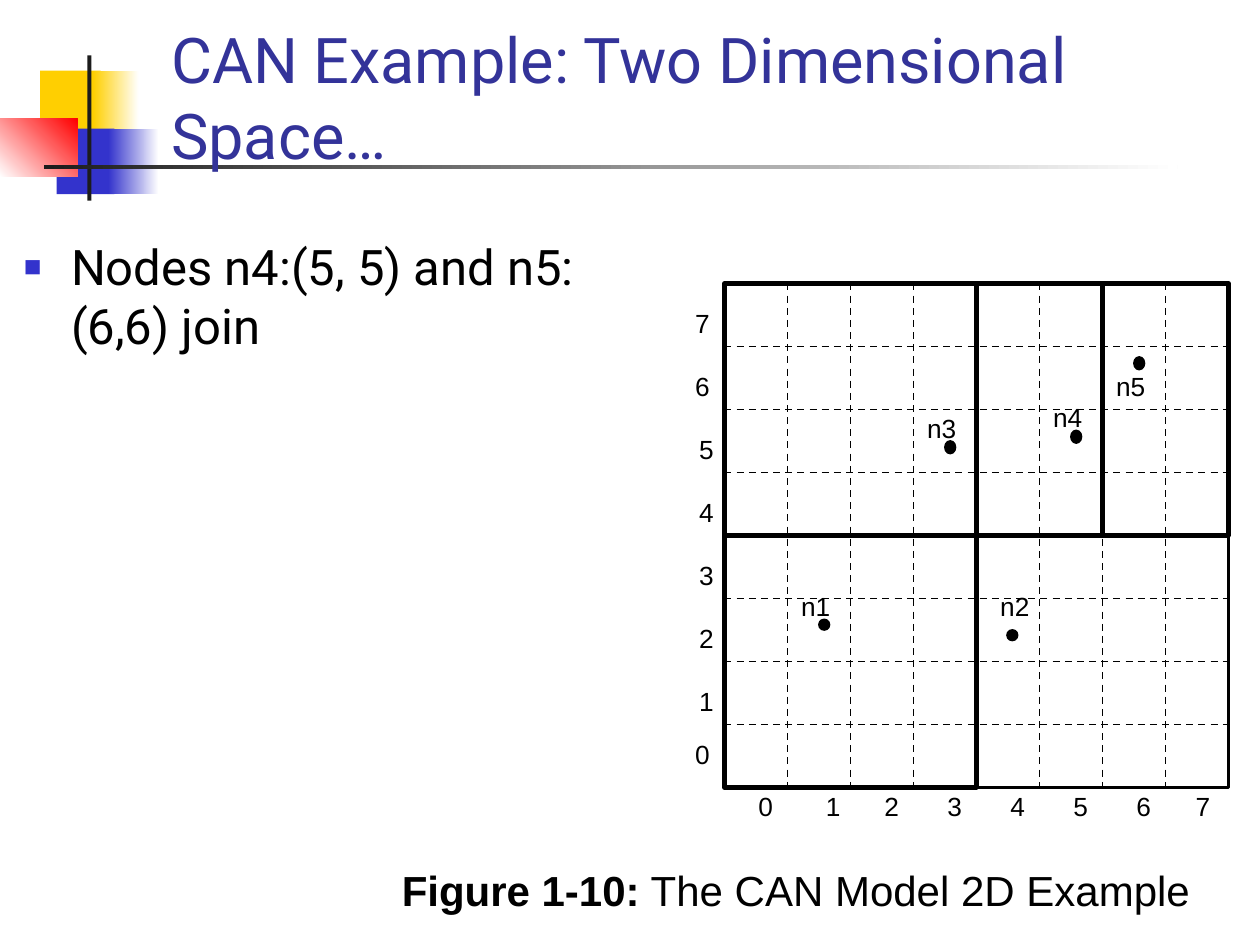
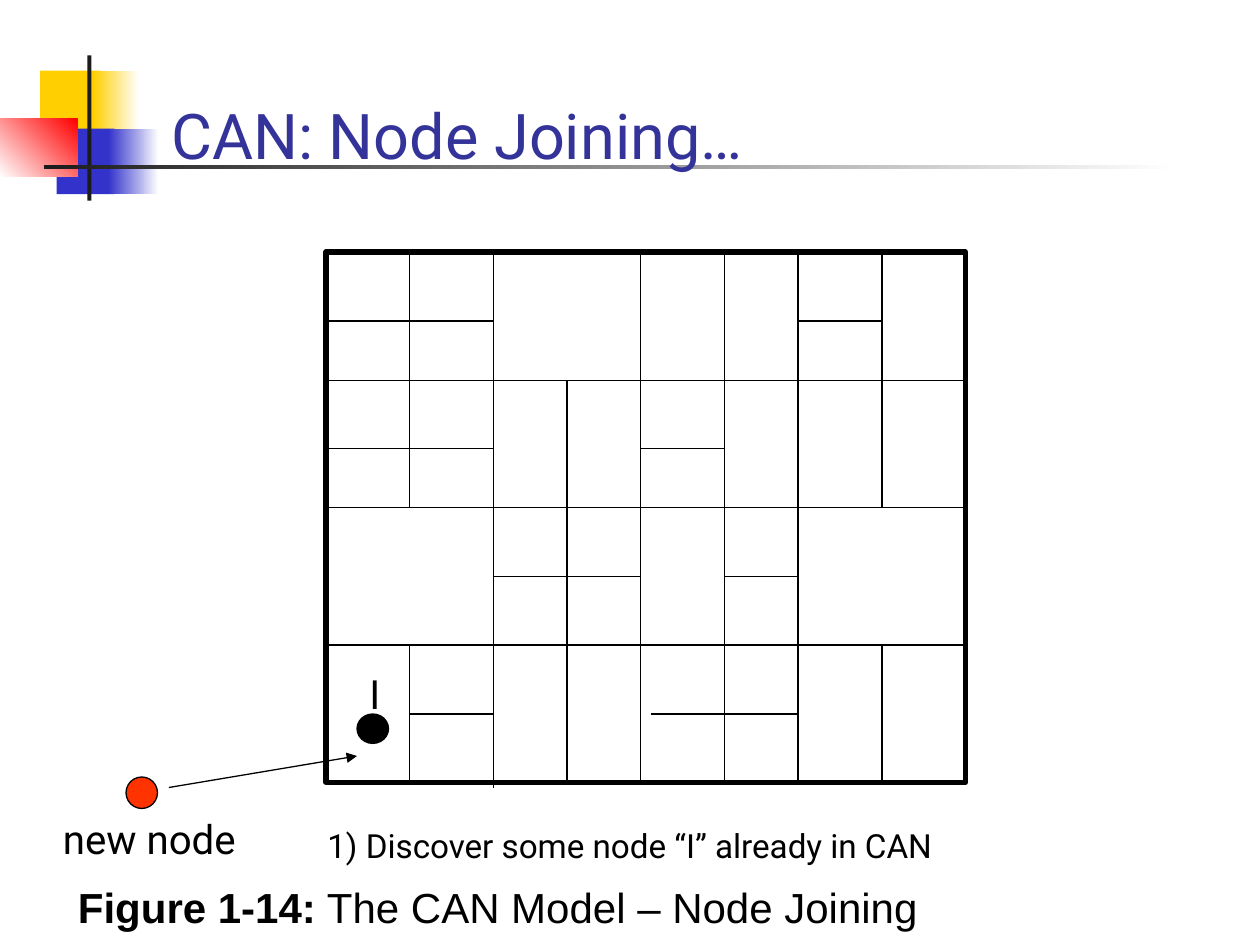
from pptx import Presentation, util as u
from pptx.dml.color import RGBColor
from pptx.enum import dml, shapes as sh, text as tx
from pptx.oxml import parse_xml
from pptx.oxml.ns import nsdecls, qn
from lxml import etree

Pt = u.Pt
BLACK = RGBColor(0, 0, 0)
WHITE = RGBColor(0xFF, 0xFF, 0xFF)
INK = RGBColor(0x1C, 0x1C, 0x1C)
GOLD = RGBColor(0xFF, 0xCF, 0x01)
BLUE = RGBColor(0x33, 0x33, 0xCC)
NAVY = RGBColor(0x33, 0x33, 0x99)
RED = RGBColor(0xFF, 0, 0)
CORAL = RGBColor(0xFF, 0x33, 0)

RECT = sh.MSO_SHAPE.RECTANGLE
OVAL = sh.MSO_SHAPE.OVAL
HEAD = {"name": "Roboto", "size": Pt(36)}
BODY = {"name": "Roboto", "size": Pt(28)}
NOTE = {"name": "Roboto", "size": Pt(23)}
STEP = {"name": "Roboto", "size": Pt(19)}
LABEL = {"name": "Arial", "size": Pt(15)}
FIGURE = {"name": "Arial", "size": Pt(24)}


def apply(item, values):
    for key, value in values.items():
        setattr(item, key, value)


class Deck:
    """Holds the file, the current slide and the look of its elements."""

    def __init__(self):
        self.file = Presentation()
        apply(self.file, {"slide_width": Pt(720), "slide_height": Pt(540)})

    def start(self, title):
        """Add a slide with the shared corner blocks, rule and title."""
        slide = self.file.slides.add_slide(self.file.slide_layouts[6])
        self.canvas = slide.shapes
        self.joints = {}
        self.shape(RECT, 23, 40.3, 34.5, 37.5, GOLD)
        self.fade(53.3, 40.3, 26, 37.5, GOLD, WHITE)
        self.shape(RECT, 32.4, 73.5, 33, 37.5, BLUE)
        self.fade(62, 73.5, 28.8, 37.5, BLUE, WHITE)
        self.fade(0, 67.8, 44.2, 33.2, WHITE, RED, 45)
        self.shape(RECT, 49.9, 31.7, 2.3, 83, INK)
        self.fade(25, 94.5, 648, 2.3, INK, WHITE)
        self.text(90.7, 35.7, 613.5, 66, title, HEAD, NAVY,
                  anchor=tx.MSO_ANCHOR.BOTTOM)

    def group(self):
        """Send the elements that follow into a new group."""
        self.canvas = self.canvas.add_group_shape().shapes

    def shape(self, kind, x, y, w, h, fill=None, line=None):
        item = self.canvas.add_shape(kind, Pt(x), Pt(y), Pt(w), Pt(h))
        item.shadow.inherit = False
        if fill is None:
            item.fill.background()
        else:
            item.fill.solid()
            item.fill.fore_color.rgb = fill
        if line is None:
            item.line.fill.background()
        else:
            item.line.color.rgb = BLACK
            item.line.width = Pt(line)
        return item

    def zone(self, x, y, w, h, line):
        """Draw an outlined box and note the middles of its sides."""
        item = self.shape(RECT, x, y, w, h, line=line)
        sides = [(x + w / 2, y), (x, y + h / 2),
                 (x + w / 2, y + h), (x + w, y + h / 2)]
        for index, point in enumerate(sides):
            self.joints.setdefault(point, (item, index))

    def fade(self, x, y, w, h, first, last, angle=0):
        fill = self.shape(RECT, x, y, w, h).fill
        fill.gradient()
        fill.gradient_angle = angle
        for stop, color in zip(fill.gradient_stops, (first, last)):
            stop.color.rgb = color

    def line(self, x1, y1, x2, y2, width=0.75, dash=None, arrow=False):
        """Draw a line, joined to any box side whose middle it meets."""
        item = self.canvas.add_connector(sh.MSO_CONNECTOR.STRAIGHT,
                                         Pt(x1), Pt(y1), Pt(x2), Pt(y2))
        apply(item.line, {"width": Pt(width), "dash_style": dash})
        item.line.color.rgb = BLACK
        if arrow:
            tip = etree.SubElement(item.line._get_or_add_ln(), qn("a:tailEnd"))
            tip.set("type", "triangle")
        etree.SubElement(item._element.spPr, qn("a:effectLst"))
        if (x1, y1) in self.joints:
            item.begin_connect(*self.joints[x1, y1])
        if (x2, y2) in self.joints:
            item.end_connect(*self.joints[x2, y2])

    def text(self, x, y, w, h, words, font, color=BLACK, lead="",
             wrap=True, anchor=tx.MSO_ANCHOR.TOP):
        """Add a text box, with a bold lead if given; return its paragraph."""
        box = self.canvas.add_textbox(Pt(x), Pt(y), Pt(w), Pt(h))
        apply(box.text_frame, {"word_wrap": wrap, "vertical_anchor": anchor})
        para = box.text_frame.paragraphs[0]
        for words, bold in ((lead, True), (words, False)):
            if words:
                run = para.add_run()
                run.text = words
                apply(run.font, {**font, "bold": bold})
                run.font.color.rgb = color
        return para

    def label(self, x, y, words):
        self.text(x, y, 22.3 if len(words) == 1 else 31, 25.2,
                  words, LABEL, wrap=False)

    def hang(self, para, indent, before):
        para.space_before = Pt(before)
        props = para._p.get_or_add_pPr()
        props.set("marL", str(Pt(indent)))
        props.set("indent", str(-Pt(indent)))
        return props

    def bullet(self, x, y, w, h, words):
        props = self.hang(self.text(x, y, w, h, words, BODY), 27, 7)
        for mark in (f'<a:buClr {{}}><a:srgbClr val="{BLUE}"/></a:buClr>',
                     '<a:buSzPct {} val="60000"/>',
                     '<a:buFont {} typeface="Arial"/>',
                     '<a:buChar {} char="■"/>'):
            props.append(parse_xml(mark.format(nsdecls("a"))))

    def figure(self, x, y, w, number, words):
        para = self.text(x, y, w, 49.7, " " + words, FIGURE,
                         lead=f"Figure {number}:")
        self.hang(para, 48, 6)


def draw_space(deck):
    deck.start("CAN Example: Two Dimensional Space…")
    deck.bullet(6.5, 131.8, 378, 84, "Nodes n4:(5, 5) and n5:(6,6) join")
    left, top, cell, count = 414, 162, 36, 8
    side = cell * count
    deck.zone(left, top, side, side, 2)
    for col, row, wide, high in ((0, 4, 4, 4), (0, 0, 4, 4),
                                 (4, 0, 2, 4), (6, 0, 2, 4)):
        deck.zone(left + col * cell, top + row * cell,
                  wide * cell, high * cell, 2.5)
    dash = dml.MSO_LINE.DASH
    for step in range(1, count):
        x, y = left + step * cell, top + step * cell
        deck.line(x, top, x, top + side, 1, dash)
        deck.line(left, y, left + side, y, 1, dash)
    shift = {1: 2.5, 7: -2.2}
    for num in range(count):
        deck.label(426.3 + num * cell + shift.get(num, 0), 448, str(num))
        deck.label(390.2 if num in (0, 6, 7) else 392.4,
                   424 - num * cell - (5.7 if num == 0 else 0), str(num))
    nodes = {"n1": (468, 354, 6, 450.7, 334), "n2": (575.5, 360, 6, 564.5, 334),
             "n3": (540, 252, 7.2, 522.7, 232), "n4": (612, 246, 7.2, 594.7, 226),
             "n5": (648, 204, 7.2, 630.7, 208)}
    for name, (x, y, high, name_x, name_y) in nodes.items():
        deck.shape(OVAL, x, y, 6, high, BLACK, 1)
        deck.label(name_x, name_y, name)
    deck.figure(222.5, 490.3, 519, "1-10", "The CAN Model 2D Example")


def draw_join(deck):
    deck.start("CAN: Node Joining…")
    deck.line(96.5, 450, 204, 432, arrow=True)
    deck.shape(OVAL, 72, 444, 18, 18, CORAL, 0.75)
    page = deck.canvas
    deck.group()
    cols = (186.3, 234, 282, 324, 366, 414, 456, 504, 551.7)
    rows = (144, 183.5, 217.5, 256.3, 290, 329.5, 368.6, 408, 447)
    deck.zone(cols[0], rows[0], cols[8] - cols[0], rows[8] - rows[0], 3)
    # Walls: (column, first row, last row), then (row, first column, last column)
    for col, first, last in ((4, 0, 8), (6, 0, 8), (2, 0, 8),
                             (1, 0, 2), (1, 2, 4), (1, 6, 8),
                             (3, 2, 4), (3, 4, 6), (3, 6, 8),
                             (5, 0, 2), (5, 2, 4), (5, 4, 6), (5, 6, 8),
                             (7, 0, 2), (7, 2, 4), (7, 6, 8)):
        over = 3 if col == 2 else 0
        deck.line(cols[col], rows[first], cols[col], rows[last] + over)
    for row, first, last in ((2, 0, 8), (4, 0, 8), (6, 0, 8),
                             (1, 0, 2), (1, 6, 7), (3, 0, 2), (3, 4, 5),
                             (5, 2, 4), (5, 5, 6), (7, 1, 2), (7, 4, 6)):
        inset = 6 if (row, first) == (7, 4) else 0
        deck.line(cols[first] + inset, rows[row], cols[last], rows[row])
    deck.shape(OVAL, 204, 408, 18, 16.8, BLACK, 0.75)
    deck.text(204, 378.7, 22, 34.6, "I", NOTE, wrap=False)
    deck.canvas = page
    deck.text(28.8, 461.5, 121, 34.6, "new node", NOTE, wrap=False)
    deck.text(180, 468, 497.5, 30.2, "1) Discover some node “I” already in CAN", STEP)
    deck.figure(37.5, 500.4, 666.7, "1-14", "The CAN Model – Node Joining")


def main():
    deck = Deck()
    draw_space(deck)
    draw_join(deck)
    deck.file.save("out.pptx")


if __name__ == "__main__":
    main()
